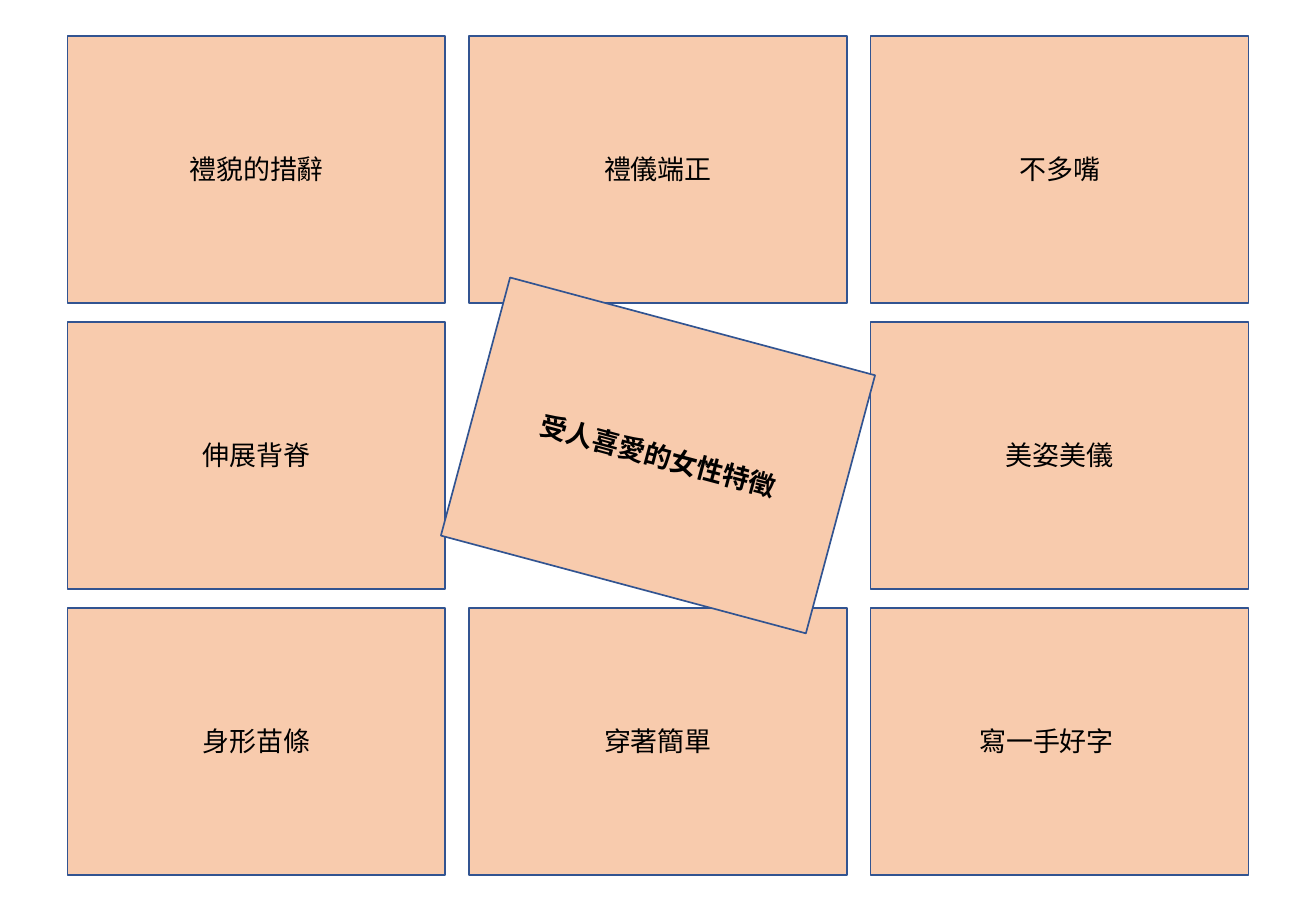
"""Build a three by three grid of trait cards with a tilted title card."""
import dataclasses

import lxml.etree
import pptx
import pptx.dml.color
import pptx.enum.shapes
import pptx.enum.text
import pptx.oxml.ns
import pptx.slide
import pptx.util

SCALE = 4572
SIZE = (2166, 1500)
LEFT, TOP = 111, 59
STEP_X, STEP_Y = 661, 471
WIDE, HIGH = 622, 440
GLYPH, INSET, LINE = 45, 20, 74


@dataclasses.dataclass(frozen=True)
class Theme:
    fill: str = "F8CBAD"
    edge: str = "325491"
    ink: str = "000000"
    font: str = "Noto Sans CJK SC"
    size: int = 16
    stroke: int = 1


@dataclasses.dataclass(frozen=True)
class Card:
    text: str
    col: int
    row: int
    turn: int = 0
    bold: bool = False
    shift: int = 0

    @property
    def left(self) -> int:
        return LEFT + self.col * STEP_X

    @property
    def top(self) -> int:
        return TOP + self.row * STEP_Y


THEME = Theme()
CARDS = [
    Card("禮貌的措辭", 0, 0),
    Card("禮儀端正", 1, 0),
    Card("不多嘴", 2, 0),
    Card("伸展背脊", 0, 1),
    Card("美姿美儀", 2, 1),
    Card("身形苗條", 0, 2),
    Card("穿著簡單", 1, 2),
    Card("寫一手好字", 2, 2, shift=-22),
    Card("受人喜愛的女性特徵", 1, 1, turn=15, bold=True),
]


def px(count: int) -> pptx.util.Emu:
    return pptx.util.Emu(count * SCALE)


def color(code: str) -> pptx.dml.color.RGBColor:
    return pptx.dml.color.RGBColor.from_string(code)


def panel(slide: pptx.slide.Slide, card: Card) -> None:
    shape = slide.shapes.add_shape(
        pptx.enum.shapes.MSO_SHAPE.RECTANGLE,
        px(card.left), px(card.top), px(WIDE), px(HIGH),
    )
    shape.shadow.inherit = False
    shape.rotation = card.turn
    shape.fill.solid()
    shape.fill.fore_color.rgb = color(THEME.fill)
    shape.line.color.rgb = color(THEME.edge)
    shape.line.width = pptx.util.Pt(THEME.stroke)


def label(slide: pptx.slide.Slide, text: str, *, mid_x: int, mid_y: int,
          turn: int = 0, bold: bool = False) -> None:
    width = len(text) * GLYPH + 2 * INSET
    box = slide.shapes.add_textbox(
        px(mid_x - width // 2), px(mid_y - LINE // 2), px(width), px(LINE)
    )
    box.rotation = turn
    frame = box.text_frame
    frame.margin_left = frame.margin_right = px(INSET)
    frame.word_wrap = False
    frame.auto_size = pptx.enum.text.MSO_AUTO_SIZE.SHAPE_TO_FIT_TEXT
    para = frame.paragraphs[0]
    para.alignment = pptx.enum.text.PP_ALIGN.CENTER
    run = para.add_run()
    run.text = text
    run.font.size = pptx.util.Pt(THEME.size)
    run.font.bold = bold
    run.font.color.rgb = color(THEME.ink)
    run.font.name = THEME.font
    east = lxml.etree.SubElement(
        run.font._element, pptx.oxml.ns.qn("a:ea")
    )
    east.set("typeface", THEME.font)


def main() -> None:
    deck = pptx.Presentation()
    deck.slide_width, deck.slide_height = map(px, SIZE)
    slide = deck.slides.add_slide(deck.slide_layouts[6])
    for card in CARDS:
        panel(slide, card)
    for card in CARDS:
        label(
            slide, card.text,
            mid_x=card.left + WIDE // 2 + card.shift,
            mid_y=card.top + HIGH // 2,
            turn=card.turn, bold=card.bold,
        )
    deck.save("out.pptx")


if __name__ == "__main__":
    main()
